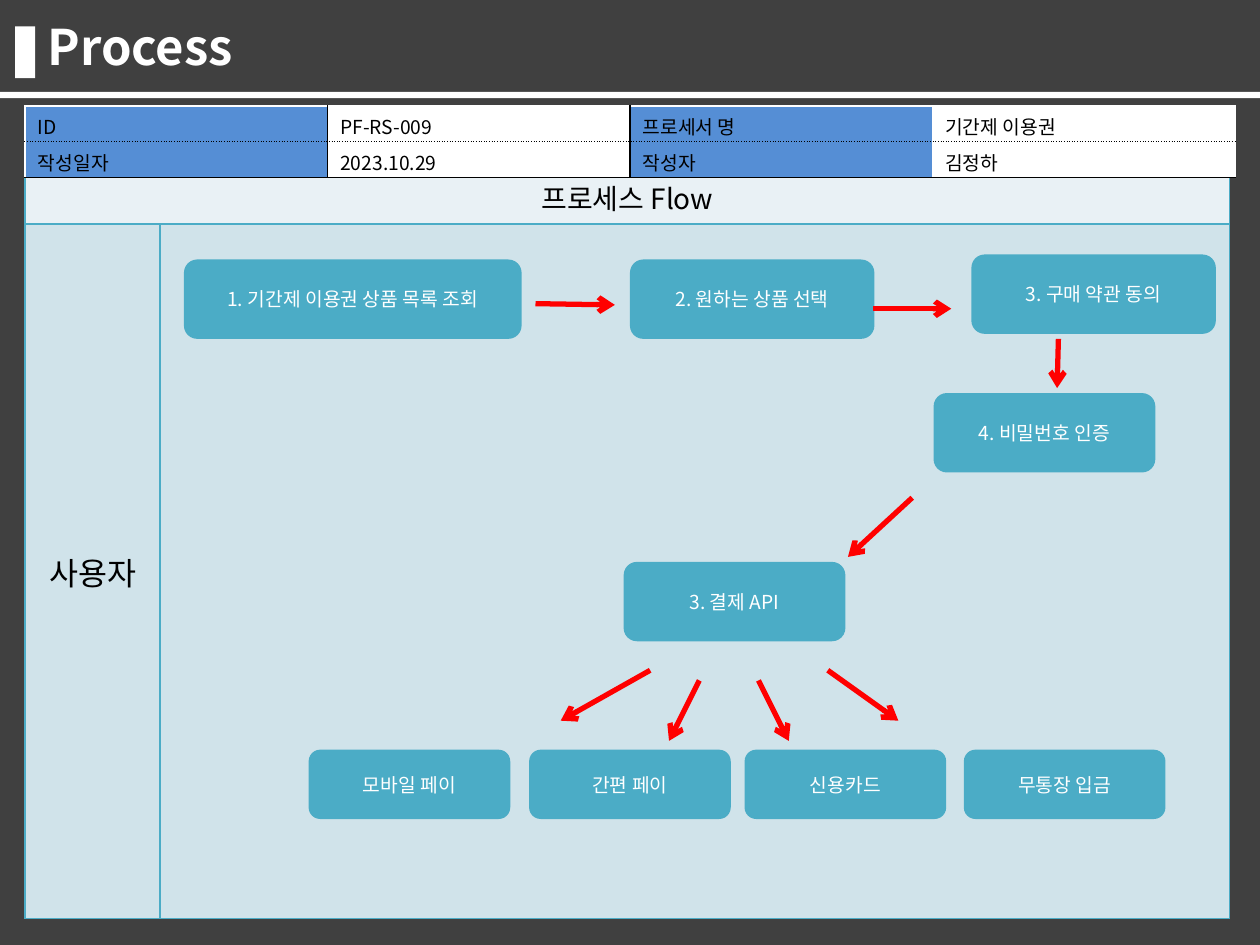
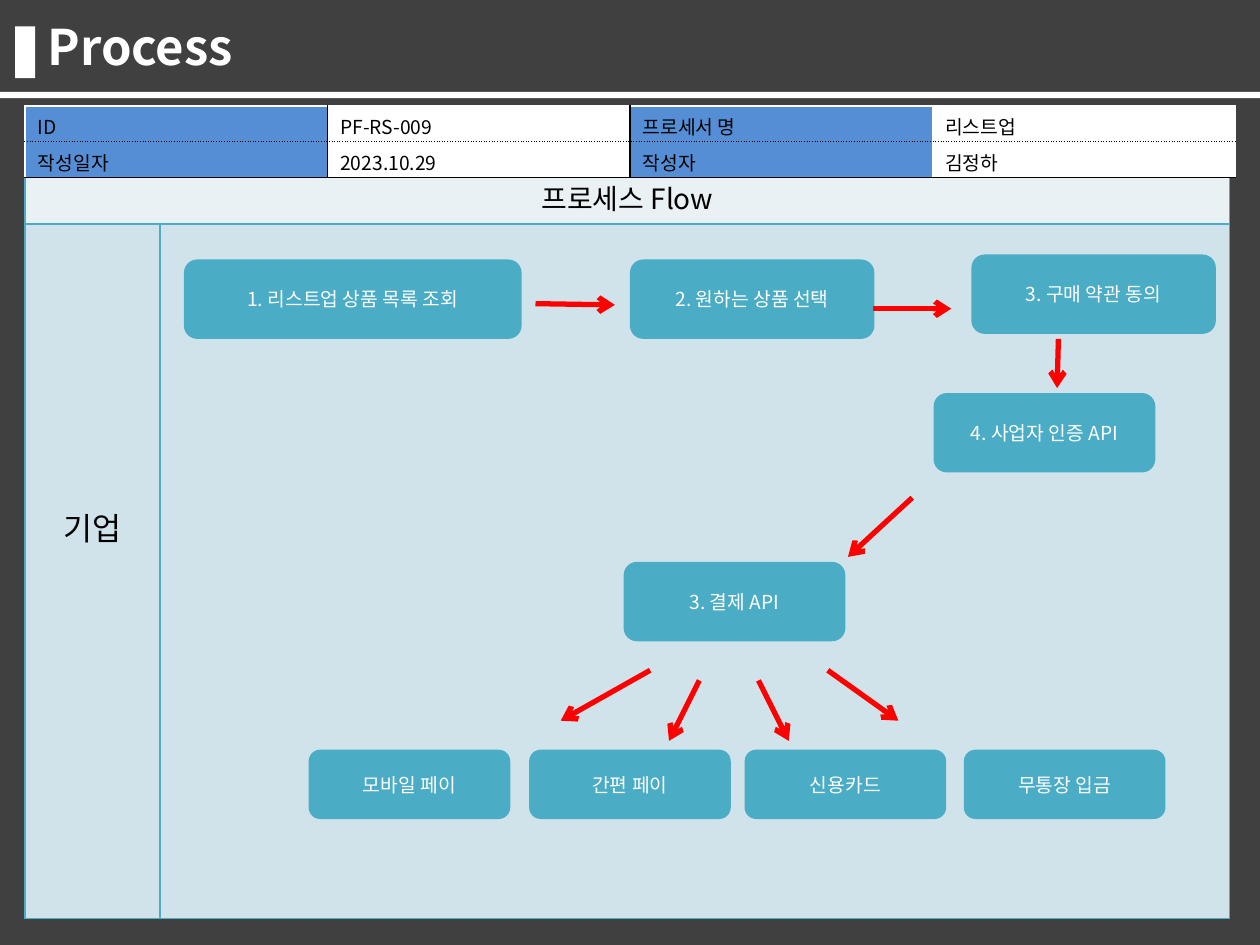
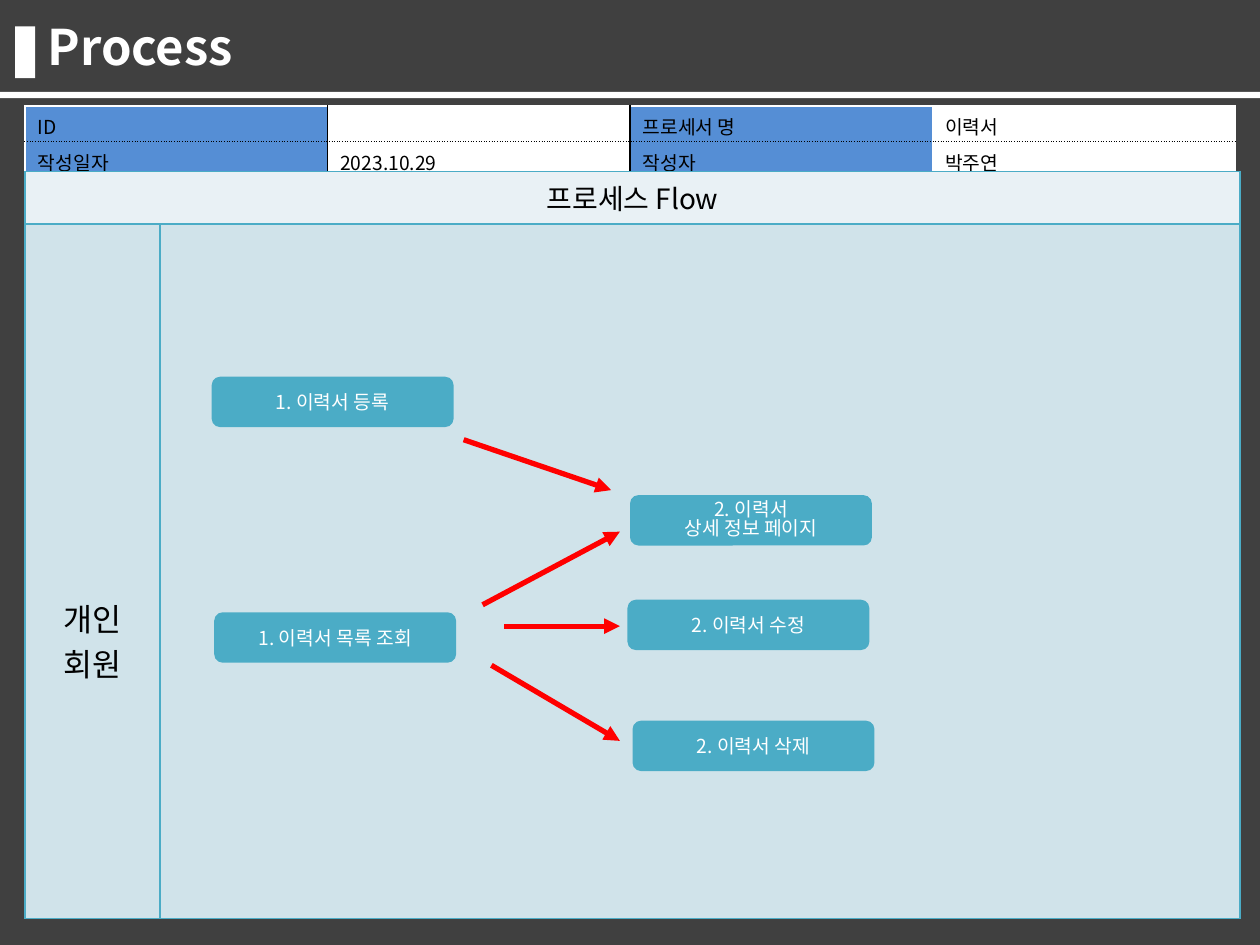
"""Build three process-flow slides that share a title band, an ID table and a flow table."""
from dataclasses import dataclass
from typing import Any

from lxml import etree
from pptx import Presentation
from pptx.dml.color import RGBColor
from pptx.enum import shapes, text
from pptx.oxml import ns
from pptx.util import Inches, Pt

FONT = "Noto Sans CJK KR"
DARK = RGBColor(0x40, 0x40, 0x40)
WHITE = RGBColor(0xFF, 0xFF, 0xFF)
BLACK = RGBColor(0x00, 0x00, 0x00)
BLUE = RGBColor(0x55, 0x8E, 0xD5)
TEAL = RGBColor(0x4B, 0xAC, 0xC6)
PALE = RGBColor(0xE9, 0xF1, 0xF5)
LIGHT = RGBColor(0xD0, 0xE3, 0xEA)
RED = RGBColor(0xFF, 0x00, 0x00)

LABEL_WIDTH = 1.07
FLOW_ROWS = (0.42, 5.51)
ID_COLUMNS = (2.4,) * 4
ID_ROWS = (0.285,) * 2


@dataclass(frozen=True)
class Edge:
    """A cell border."""
    color: RGBColor
    dash: str = "solid"


@dataclass(frozen=True)
class Step:
    """A rounded box of the flow."""
    label: str
    left: float
    top: float
    width: float
    height: float


@dataclass(frozen=True)
class Arrow:
    """A red arrow between two points."""
    x1: float
    y1: float
    x2: float
    y2: float


@dataclass(frozen=True)
class Process:
    """The content of one slide."""
    code: str
    name: str
    author: str
    actor: str
    actor_top: float
    steps: tuple[Step, ...]
    arrows: tuple[Arrow, ...]
    arrowhead: str = "arrow"
    flow_width: float = 9.56
    flow_in_front: bool = False


TEAL_EDGE, WHITE_EDGE, BLACK_EDGE = Edge(TEAL), Edge(WHITE), Edge(BLACK)
DOTTED_EDGE = Edge(BLACK, "sysDot")
ID_VERTICALS = (WHITE_EDGE, BLACK_EDGE, BLACK_EDGE, WHITE_EDGE, WHITE_EDGE)
ID_HORIZONTALS = (WHITE_EDGE, DOTTED_EDGE, BLACK_EDGE)


def write(frame: Any, content: str, *, size: float = 11, color: RGBColor = BLACK,
          bold: bool = False, align: Any = text.PP_ALIGN.LEFT, spacing: float | None = None) -> None:
    """Fill a text frame, one paragraph per line of content."""
    frame.word_wrap = True
    for index, line in enumerate(content.split("\n")):
        paragraph = frame.add_paragraph() if index else frame.paragraphs[0]
        paragraph.alignment = align
        if spacing:
            paragraph.line_spacing = spacing
        if not line:
            etree.SubElement(paragraph._p, ns.qn("a:endParaRPr"), sz=str(int(size * 100)))
            continue
        run = paragraph.add_run()
        run.text = line
        run.font.size, run.font.bold, run.font.name = Pt(size), bold, FONT
        run.font.color.rgb = color
        etree.SubElement(run._r.get_or_add_rPr(), ns.qn("a:ea"), typeface=FONT)


def add_block(slide: Any, kind: Any, left: float, top: float, width: float, height: float,
              color: RGBColor) -> Any:
    """Add a filled shape without outline or shadow."""
    block = slide.shapes.add_shape(kind, Inches(left), Inches(top), Inches(width), Inches(height))
    block.shadow.inherit = False
    block.fill.solid()
    block.fill.fore_color.rgb = color
    block.line.fill.background()
    return block


def paint_cell(cell: Any, fill: RGBColor, edges: tuple[Edge, ...]) -> None:
    """Fill a cell and draw its left, right, top and bottom borders."""
    cell.fill.solid()
    cell.fill.fore_color.rgb = fill
    properties = cell._tc.get_or_add_tcPr()
    for index, (side, edge) in enumerate(zip("LRTB", edges)):
        border = etree.Element(ns.qn(f"a:ln{side}"), w=str(Pt(1)))
        solid = etree.SubElement(border, ns.qn("a:solidFill"))
        etree.SubElement(solid, ns.qn("a:srgbClr"), val=str(edge.color))
        etree.SubElement(border, ns.qn("a:prstDash"), val=edge.dash)
        properties.insert(index, border)


def add_grid(slide: Any, left: float, top: float, columns: tuple[float, ...],
             rows: tuple[float, ...]) -> Any:
    """Add a plain table with the given column widths and row heights."""
    grid = slide.shapes.add_table(len(rows), len(columns), Inches(left), Inches(top),
                                  Inches(sum(columns)), Inches(sum(rows))).table
    grid.first_row = grid.horz_banding = False
    for column, width in zip(grid.columns, columns):
        column.width = Inches(width)
    for row, height in zip(grid.rows, rows):
        row.height = Inches(height)
    return grid


def add_id_table(slide: Any, process: Process) -> None:
    """Add the table that identifies the process."""
    grid = add_grid(slide, 0.2, 0.84, ID_COLUMNS, ID_ROWS)
    rows = (("ID", process.code, "프로세서 명", process.name),
            ("작성일자", "2023.10.29", "작성자", process.author))
    for r, entries in enumerate(rows):
        for c, entry in enumerate(entries):
            cell = grid.cell(r, c)
            cell.margin_top, cell.margin_bottom = Inches(0.05), Inches(0.01)
            write(cell.text_frame, entry)
            paint_cell(cell, WHITE if c % 2 else BLUE,
                       ID_VERTICALS[c:c + 2] + ID_HORIZONTALS[r:r + 2])


def add_flow_table(slide: Any, process: Process) -> None:
    """Add the flow heading, the actor and the area for the steps."""
    grid = add_grid(slide, 0.2, 1.36, (LABEL_WIDTH, process.flow_width - LABEL_WIDTH), FLOW_ROWS)
    for r, fill in enumerate((PALE, LIGHT)):
        for c in range(2):
            paint_cell(grid.cell(r, c), fill, (TEAL_EDGE,) * 4)
    heading, actor = grid.cell(0, 0), grid.cell(1, 0)
    heading.merge(grid.cell(0, 1))
    write(heading.text_frame, "프로세스 Flow", size=16, align=text.PP_ALIGN.CENTER)
    actor.margin_top = Inches(process.actor_top)
    write(actor.text_frame, process.actor, size=18, align=text.PP_ALIGN.CENTER)


def add_title_band(slide: Any) -> None:
    """Add the dark background, the title, its marker and the rule below."""
    rectangle = shapes.MSO_SHAPE.RECTANGLE
    add_block(slide, rectangle, 0, 0, 10, 7.5, DARK)
    title = slide.shapes.add_textbox(Inches(0.28), Inches(0.13), Inches(8.98), Inches(0.57))
    title.text_frame.margin_top = title.text_frame.margin_bottom = 0
    write(title.text_frame, "Process", size=28, color=WHITE, bold=True)
    add_block(slide, rectangle, 0.12, 0.21, 0.16, 0.41, WHITE)
    add_block(slide, rectangle, 0, 0.73, 10, 0.05, WHITE)


def add_step(slide: Any, step: Step) -> None:
    """Add one step of the flow."""
    box = add_block(slide, shapes.MSO_SHAPE.ROUNDED_RECTANGLE, step.left, step.top,
                    step.width, step.height, TEAL)
    box.text_frame.vertical_anchor = text.MSO_ANCHOR.MIDDLE
    write(box.text_frame, step.label, color=WHITE, align=text.PP_ALIGN.CENTER,
          spacing=0.82 if "\n" in step.label else None)


def add_arrow(slide: Any, arrow: Arrow, head: str) -> None:
    """Add one arrow of the flow."""
    link = slide.shapes.add_connector(shapes.MSO_CONNECTOR.STRAIGHT, Inches(arrow.x1),
                                      Inches(arrow.y1), Inches(arrow.x2), Inches(arrow.y2))
    link.line.color.rgb = RED
    link.line.width = Pt(3)
    etree.SubElement(link.line._get_or_add_ln(), ns.qn("a:tailEnd"), type=head)
    etree.SubElement(link._element.spPr, ns.qn("a:effectLst"))


def purchase_steps(listing: str, verification: str) -> tuple[Step, ...]:
    """Return the steps of a purchase, from the listing to the ways of paying."""
    payments = zip(("모바일 페이", "간편 페이", "신용카드", "무통장 입금"), (2.45, 4.2, 5.91, 7.65))
    return (
        Step(listing, 1.46, 2.06, 2.68, 0.63),
        Step("2. 원하는 상품 선택", 5, 2.06, 1.94, 0.63),
        Step("3. 구매 약관 동의", 7.71, 2.02, 1.94, 0.63),
        Step(verification, 7.41, 3.12, 1.76, 0.63),
        Step("3. 결제 API", 4.95, 4.46, 1.76, 0.63),
        *(Step(label, left, 5.95, 1.6, 0.55) for label, left in payments),
    )


def resume_step(label: str, left: float, top: float) -> Step:
    """Return a step of the résumé process."""
    return Step(label, left, top, 1.92, 0.4)


PURCHASE_ARROWS = (
    Arrow(4.25, 2.41, 4.88, 2.42),
    Arrow(6.93, 2.45, 7.55, 2.45),
    Arrow(8.4, 2.69, 8.39, 3.08),
    Arrow(7.24, 3.95, 6.73, 4.42),
    Arrow(5.16, 5.32, 4.45, 5.72),
    Arrow(5.55, 5.4, 5.31, 5.88),
    Arrow(6.02, 5.4, 6.26, 5.88),
    Arrow(6.57, 5.32, 7.13, 5.72),
)
RESUME_STEPS = (
    resume_step("1. 이력서 등록", 1.68, 2.99),
    resume_step("1. 이력서 목록 조회", 1.7, 4.86),
    resume_step("2. 이력서\n상세 정보 페이지", 5, 3.93),
    resume_step("2. 이력서 수정", 4.98, 4.76),
    resume_step("2. 이력서 삭제", 5.02, 5.72),
)
RESUME_ARROWS = (
    Arrow(3.68, 3.49, 4.85, 3.89),
    Arrow(3.83, 4.8, 4.92, 4.22),
    Arrow(4, 4.97, 4.92, 4.97),
    Arrow(3.9, 5.28, 4.92, 5.88),
)
PROCESSES = (
    Process("PF-RS-009", "기간제 이용권", "김정하", "사용자", 2.58,
            purchase_steps("1. 기간제 이용권 상품 목록 조회", "4. 비밀번호 인증"), PURCHASE_ARROWS),
    Process("PF-RS-009", "리스트업", "김정하", "기업", 2.22,
            purchase_steps("1. 리스트업 상품 목록 조회", "4. 사업자 인증 API"), PURCHASE_ARROWS),
    Process("", "이력서", "박주연", "개인\n회원", 2.94, RESUME_STEPS, RESUME_ARROWS,
            arrowhead="triangle", flow_width=9.64, flow_in_front=True),
)


def add_process(deck: Any, process: Process) -> None:
    """Add the slide of one process."""
    slide = deck.slides.add_slide(deck.slide_layouts[6])
    add_title_band(slide)
    tables = (add_flow_table, add_id_table)
    for add_table in reversed(tables) if process.flow_in_front else tables:
        add_table(slide, process)
    for step in process.steps:
        add_step(slide, step)
    for arrow in process.arrows:
        add_arrow(slide, arrow, process.arrowhead)


def main() -> None:
    """Build and save the deck."""
    deck = Presentation()
    deck.slide_width, deck.slide_height = Inches(10), Inches(7.5)
    for process in PROCESSES:
        add_process(deck, process)
    deck.save("out.pptx")


if __name__ == "__main__":
    main()
